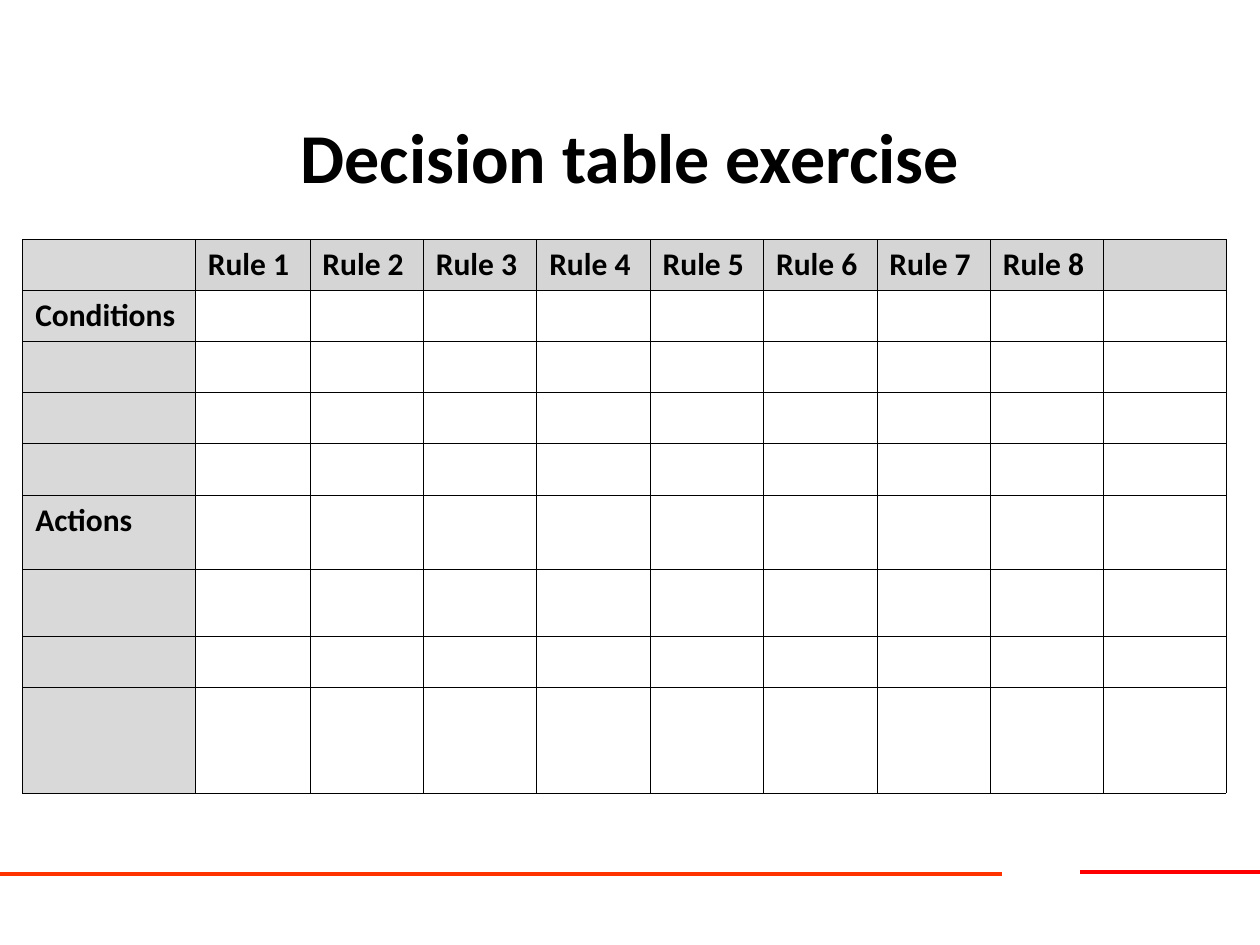
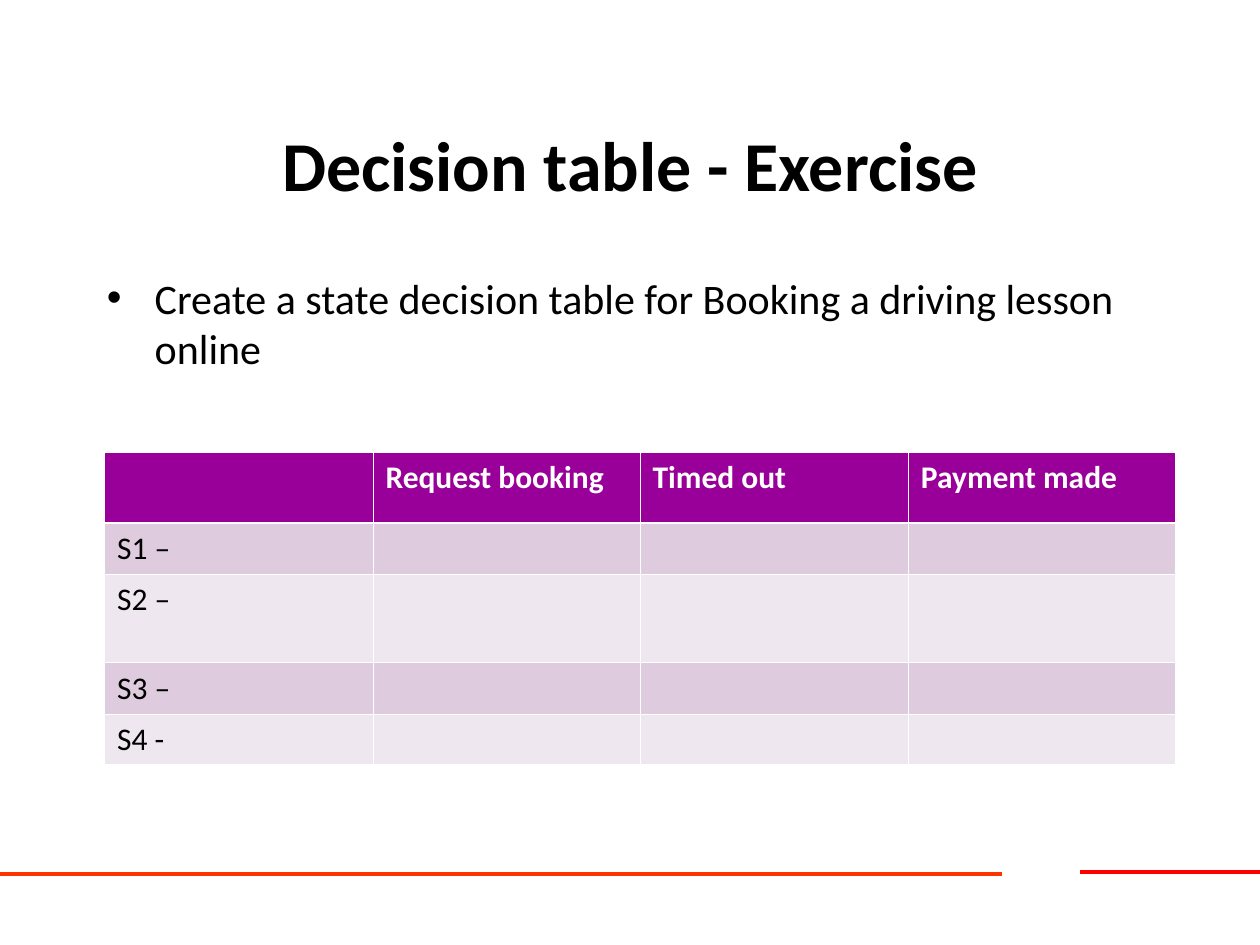
from lxml import etree
from pptx import Presentation
from pptx.dml.color import RGBColor
from pptx.enum.shapes import MSO_CONNECTOR
from pptx.enum.text import MSO_ANCHOR, MSO_AUTO_SIZE, PP_ALIGN
from pptx.oxml.ns import qn
from pptx.util import Inches, Pt

STRAIGHT = MSO_CONNECTOR.STRAIGHT
MIDDLE = MSO_ANCHOR.MIDDLE
CENTER = PP_ALIGN.CENTER
LEFT = PP_ALIGN.LEFT
NO_AUTOFIT = MSO_AUTO_SIZE.NONE
TITLE_ONLY = 5

FONT = "Calibri"
COLORS = {
    "black": "000000",
    "white": "FFFFFF",
    "red": "FF0000",
    "orange": "FF3300",
    "rule_gray": "D5D5D5",
    "label_gray": "D9D9D9",
    "purple": "990099",
    "dark_band": "DECBDE",
    "light_band": "EFE7EF",
}
FOOTER_LINES = [(8.57, 10, 6.92, "red"), (0, 7.95, 6.94, "orange")]
THIN, THICK = 0.45, 1.47

RULES = {
    "title": "Decision table exercise",
    "title_top": 0.61,
    "header": [""] + [f"Rule {number}" for number in range(1, 9)] + [""],
    "labels": ["Conditions", "", "", "", "Actions", "", "", ""],
    "position": (0.18, 1.9),
    "columns": [1.37, 0.91] + [0.9] * 7 + [0.97],
    "rows": [0.4] * 5 + [0.59, 0.53, 0.4, 0.84],
}
BOOKING = {
    "title": "Decision table - Exercise",
    "title_top": 0.67,
    "task": "Create a state decision table for Booking a driving lesson online",
    "header": ["", "Request booking", "Timed out", "Payment made"],
    "labels": ["S1 –", "S2 –", "S3 –", "S4 -"],
    "position": (0.83, 3.59),
    "columns": [2.13, 2.12, 2.13, 2.12],
    "rows": [0.56, 0.41, 0.7, 0.41, 0.4],
}


def rgb(name):
    return RGBColor.from_string(COLORS[name])


def write_text(text_frame, text, size=18, bold=False, color="black", align=LEFT):
    paragraph = text_frame.paragraphs[0]
    paragraph.alignment = align
    run = paragraph.add_run()
    run.text = text
    run.font.name = FONT
    run.font.size = Pt(size)
    run.font.bold = bold
    run.font.color.rgb = rgb(color)


def add_footer_line(slide, start, end, top, color):
    connector = slide.shapes.add_connector(
        STRAIGHT, Inches(start), Inches(top), Inches(end), Inches(top))
    connector.line.color.rgb = rgb(color)
    connector.line.width = Pt(2.25)
    etree.SubElement(connector.element.spPr, qn("a:effectLst"))


def add_titled_slide(presentation, content):
    slide = presentation.slides.add_slide(presentation.slide_layouts[TITLE_ONLY])
    for footer_line in FOOTER_LINES:
        add_footer_line(slide, *footer_line)
    title = slide.shapes.title
    title.left, title.top = Inches(0.75), Inches(content["title_top"])
    title.width, title.height = Inches(8.5), Inches(1.25)
    title.text_frame.auto_size = NO_AUTOFIT
    title.text_frame.vertical_anchor = MIDDLE
    write_text(title.text_frame, content["title"], size=40, bold=True, align=CENTER)
    return slide


def add_task(slide, text):
    box = slide.shapes.add_textbox(
        Inches(0.75), Inches(2.11), Inches(8.5), Inches(1.56))
    box.text_frame.word_wrap = True
    properties = box.text_frame.paragraphs[0]._p.get_or_add_pPr()
    properties.set("marL", str(Inches(0.38)))
    properties.set("indent", str(Inches(-0.38)))
    etree.SubElement(properties, qn("a:buFont"), typeface="Arial")
    etree.SubElement(properties, qn("a:buChar"), char="•")
    write_text(box.text_frame, text, size=24)


def set_border(cell, side, color, width):
    line = etree.SubElement(cell._tc.get_or_add_tcPr(), qn(f"a:ln{side}"), w=str(Pt(width)))
    fill = etree.SubElement(line, qn("a:solidFill"))
    etree.SubElement(fill, qn("a:srgbClr"), val=COLORS[color])


def add_decision_table(slide, content, border, header_rule, cell_style):
    columns, rows = content["columns"], content["rows"]
    left, top = content["position"]
    table = slide.shapes.add_table(
        len(rows), len(columns), Inches(left), Inches(top),
        Inches(sum(columns)), Inches(sum(rows))).table
    table.first_row = table.horz_banding = False
    for column, width in zip(table.columns, columns):
        column.width = Inches(width)
    for row, height in zip(table.rows, rows):
        row.height = Inches(height)

    blanks = [""] * (len(columns) - 1)
    texts = [content["header"]] + [[label] + blanks for label in content["labels"]]
    for row_index, row_texts in enumerate(texts):
        for column_index, text in enumerate(row_texts):
            cell = table.cell(row_index, column_index)
            widths = {"L": THIN, "R": THIN,
                      "T": header_rule if row_index == 1 else THIN,
                      "B": header_rule if row_index == 0 else THIN}
            for side, width in widths.items():
                set_border(cell, side, border, width)
            fill, text_format = cell_style(row_index, column_index)
            if fill:
                cell.fill.solid()
                cell.fill.fore_color.rgb = rgb(fill)
            else:
                cell.fill.background()
            if text:
                write_text(cell.text_frame, text, **text_format)


def rules_style(row, column):
    if column == 0:
        fill = "label_gray"
    else:
        fill = "rule_gray" if row == 0 else None
    return fill, {"bold": True}


def booking_style(row, column):
    if row == 0:
        return "purple", {"bold": True, "color": "white"}
    return ("dark_band" if row % 2 else "light_band"), {}


def main():
    presentation = Presentation()
    presentation.slide_width, presentation.slide_height = Inches(10), Inches(7.5)

    rules_slide = add_titled_slide(presentation, RULES)
    add_decision_table(rules_slide, RULES, "black", THIN, rules_style)

    booking_slide = add_titled_slide(presentation, BOOKING)
    add_task(booking_slide, BOOKING["task"])
    add_decision_table(booking_slide, BOOKING, "white", THICK, booking_style)

    presentation.save("out.pptx")


if __name__ == "__main__":
    main()
